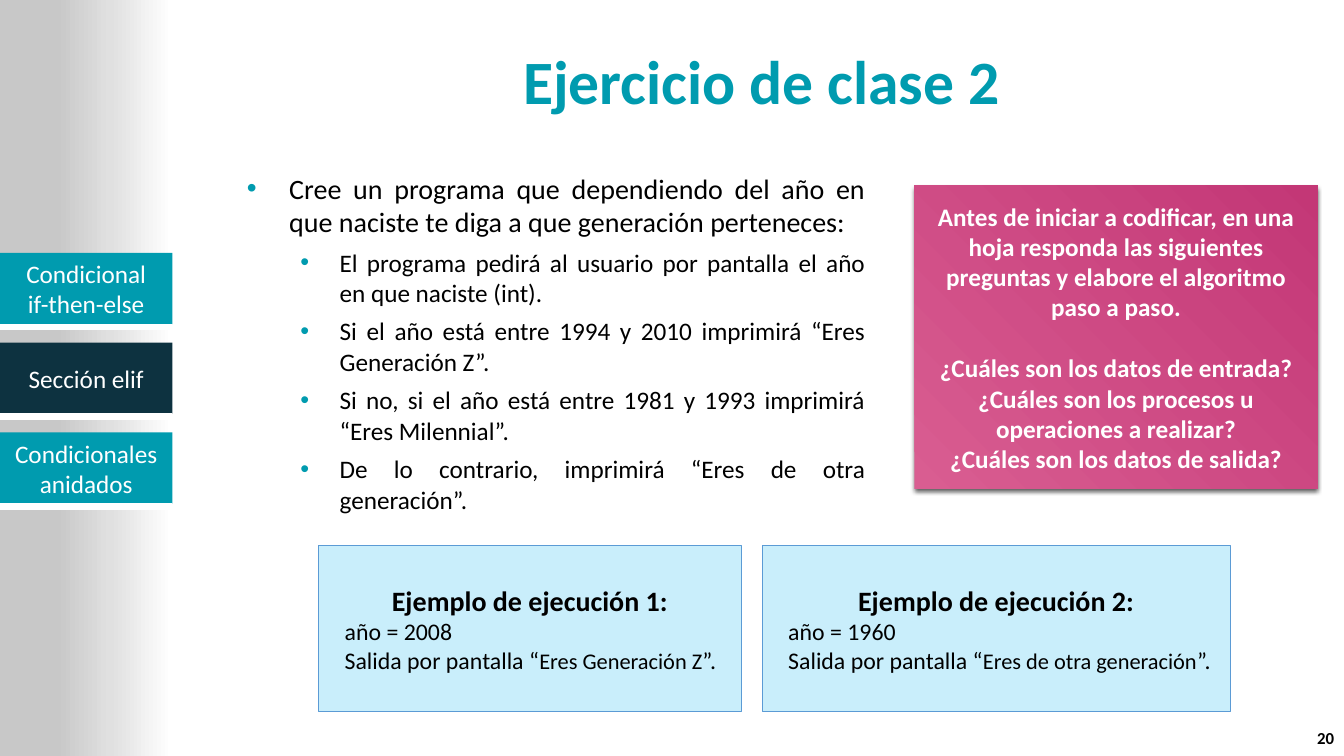
from lxml import etree
from pptx import Presentation
from pptx.dml.color import RGBColor
from pptx.enum.shapes import MSO_SHAPE
from pptx.enum.text import MSO_ANCHOR, PP_ALIGN
from pptx.oxml import parse_xml
from pptx.oxml.ns import nsdecls, qn
from pptx.util import Inches, Pt

RECTANGLE = MSO_SHAPE.RECTANGLE
MIDDLE, TOP = MSO_ANCHOR.MIDDLE, MSO_ANCHOR.TOP
LEFT, CENTER, RIGHT, JUSTIFY = PP_ALIGN.LEFT, PP_ALIGN.CENTER, PP_ALIGN.RIGHT, PP_ALIGN.JUSTIFY

THEME = {
    "font": "Calibri",
    "teal": "009BAF", "navy": "0D3240", "white": "FFFFFF", "black": "000000",
    "sky": "00B0F0", "sky_line": "5B9BD5",
    "side_stops": [(0, "FFFFFF"), (36, "E0E0E0"), (67, "C8C8C8")],
    "pink_stops": [(0, "D95D91"), (100, "C33776")],
    "title": 44, "body": 20, "text": 18, "sample": 17, "quote": 16, "number": 12,
}
WIDTH, HEIGHT = 13.33, 7.5
SIDE_WIDTH = 1.71
TAB_TOP, TAB_PITCH, TAB_HEIGHT, TAB_RULE = 2.51, 0.89, 0.71, 0.05
CONTENT_LEFT = 2.27
SAMPLE_TOP, SAMPLE_HEIGHT = 5.41, 1.65


def add_box(left, top, width, height, fill, line=None, line_width=1.25, angle=0):
    """Add a rectangle; fill is a colour or a list of (percent, colour) stops."""
    shape = slide.shapes.add_shape(
        RECTANGLE, Inches(left), Inches(top), Inches(width), Inches(height))
    shape.shadow.inherit = False
    if isinstance(fill, str):
        shape.fill.solid()
        shape.fill.fore_color.rgb = RGBColor.from_string(fill)
    else:
        shape.fill.gradient()
        shape.fill.gradient_angle = angle
        stop_list = shape._element.spPr.find(".//" + qn("a:gsLst"))
        for stop in list(stop_list):
            stop_list.remove(stop)
        for percent, color in fill:
            stop = etree.SubElement(stop_list, qn("a:gs"), pos=str(percent * 1000))
            etree.SubElement(stop, qn("a:srgbClr"), val=color)
    if line:
        shape.line.color.rgb = RGBColor.from_string(line)
        shape.line.width = Pt(line_width)
    else:
        shape.line.fill.background()
    return shape


def write(shape, *runs, size=THEME["text"], color=THEME["black"], bold=False,
          align=CENTER, anchor=MIDDLE, before=0, margin=0, hanging=0):
    """Add a paragraph; a run is text or (text, size), and hanging adds a bullet."""
    frame = shape.text_frame
    frame.word_wrap = True
    frame.vertical_anchor = anchor
    paragraph = frame.paragraphs[0]
    if paragraph.runs:
        paragraph = frame.add_paragraph()
        paragraph.space_before = Pt(before)
    paragraph.alignment = align
    properties = paragraph._p.get_or_add_pPr()
    properties.set("marL", str(Inches(margin)))
    properties.set("indent", str(-Inches(hanging)))
    if hanging:
        bullet_color = etree.SubElement(properties, qn("a:buClr"))
        etree.SubElement(bullet_color, qn("a:srgbClr"), val=THEME["teal"])
        etree.SubElement(properties, qn("a:buFont"), typeface="Arial")
        etree.SubElement(properties, qn("a:buChar"), char="•")
    for item in runs:
        text, run_size = (item, size) if isinstance(item, str) else item
        run = paragraph.add_run()
        run.text = text
        run.font.name = THEME["font"]
        run.font.size = Pt(run_size)
        run.font.bold = bold
        run.font.color.rgb = RGBColor.from_string(color)


presentation = Presentation()
presentation.slide_width, presentation.slide_height = Inches(WIDTH), Inches(HEIGHT)
slide = presentation.slides.add_slide(presentation.slide_layouts[6])

# Side band with section tabs
add_box(0, 0, SIDE_WIDTH, HEIGHT, THEME["side_stops"], angle=180)
tabs = [
    (["Condicional", "if-then-else"], THEME["teal"]),
    (["Sección elif"], THEME["navy"]),
    (["Condicionales anidados"], THEME["teal"]),
]
for row, (lines, color) in enumerate(tabs):
    top = TAB_TOP + row * TAB_PITCH
    tab = add_box(0, top, SIDE_WIDTH, TAB_HEIGHT, color)
    for text in lines:
        write(tab, text, color=THEME["white"])
    add_box(0, top + TAB_HEIGHT, SIDE_WIDTH, TAB_RULE, THEME["white"], THEME["white"])

# Title, exercise and slide number
title = slide.shapes.add_textbox(
    Inches(CONTENT_LEFT), Inches(0.24), Inches(10.57), Inches(1.11))
write(title, "Ejercicio de clase 2", size=THEME["title"], color=THEME["teal"], bold=True)

exercise = slide.shapes.add_textbox(
    Inches(CONTENT_LEFT), Inches(1.65), Inches(6.41), Inches(3.6))
write(exercise,
      "Cree un programa que dependiendo del año en que naciste te diga a que generación perteneces:",
      size=THEME["body"], align=JUSTIFY, anchor=TOP, margin=0.5, hanging=0.42)
for step in [
    "El programa pedirá al usuario por pantalla el año en que naciste (int).",
    "Si el año está entre 1994 y 2010 imprimirá “Eres Generación Z”.",
    "Si no, si el año está entre 1981 y 1993 imprimirá “Eres Milennial”.",
    "De lo contrario, imprimirá “Eres de otra generación”.",
]:
    write(exercise, step, align=JUSTIFY, anchor=TOP, before=6, margin=1, hanging=0.39)

number = slide.shapes.add_textbox(
    Inches(WIDTH - 0.52), Inches(7.15), Inches(0.52), Inches(0.34))
write(number, "20", size=THEME["number"], bold=True, align=RIGHT)

# Sample runs
samples = [
    (3.16, 4.19, "2008", "Eres Generación Z"),
    (7.56, 4.64, "1960", "Eres de otra generación"),
]
for index, (left, width, year, answer) in enumerate(samples, start=1):
    sample = add_box(left, SAMPLE_TOP, width, SAMPLE_HEIGHT,
                     THEME["sky"], THEME["sky_line"], line_width=0.5)
    fill_color = sample._element.spPr.find(qn("a:solidFill"))[0]
    etree.SubElement(fill_color, qn("a:alpha"), val="21000")
    write(sample, f"Ejemplo de ejecución {index}:", size=THEME["body"], bold=True)
    write(sample, f"año = {year}", size=THEME["sample"], align=LEFT, margin=0.16)
    write(sample, "Salida por pantalla “", (answer, THEME["quote"]), "”.",
          size=THEME["sample"], align=LEFT, margin=0.16)

# Questions to answer before coding
questions = add_box(9.07, 1.84, 4, 3.01, THEME["pink_stops"], angle=45)
questions._element.spPr.find(qn("a:effectLst")).append(parse_xml(
    f'<a:outerShdw {nsdecls("a")} blurRad="{Pt(3)}" dist="{Pt(2)}" dir="5400000" rotWithShape="0">'
    f'<a:srgbClr val="{THEME["black"]}"><a:alpha val="64000"/></a:srgbClr></a:outerShdw>'))
for text, before in [
    ("Antes de iniciar a codificar, en una hoja responda las siguientes preguntas "
     "y elabore el algoritmo paso a paso.", 0),
    ("¿Cuáles son los datos de entrada?", 22),
    ("¿Cuáles son los procesos u operaciones a realizar?", 0),
    ("¿Cuáles son los datos de salida?", 0),
]:
    write(questions, text, color=THEME["white"], bold=True, before=before)

presentation.save("out.pptx")
